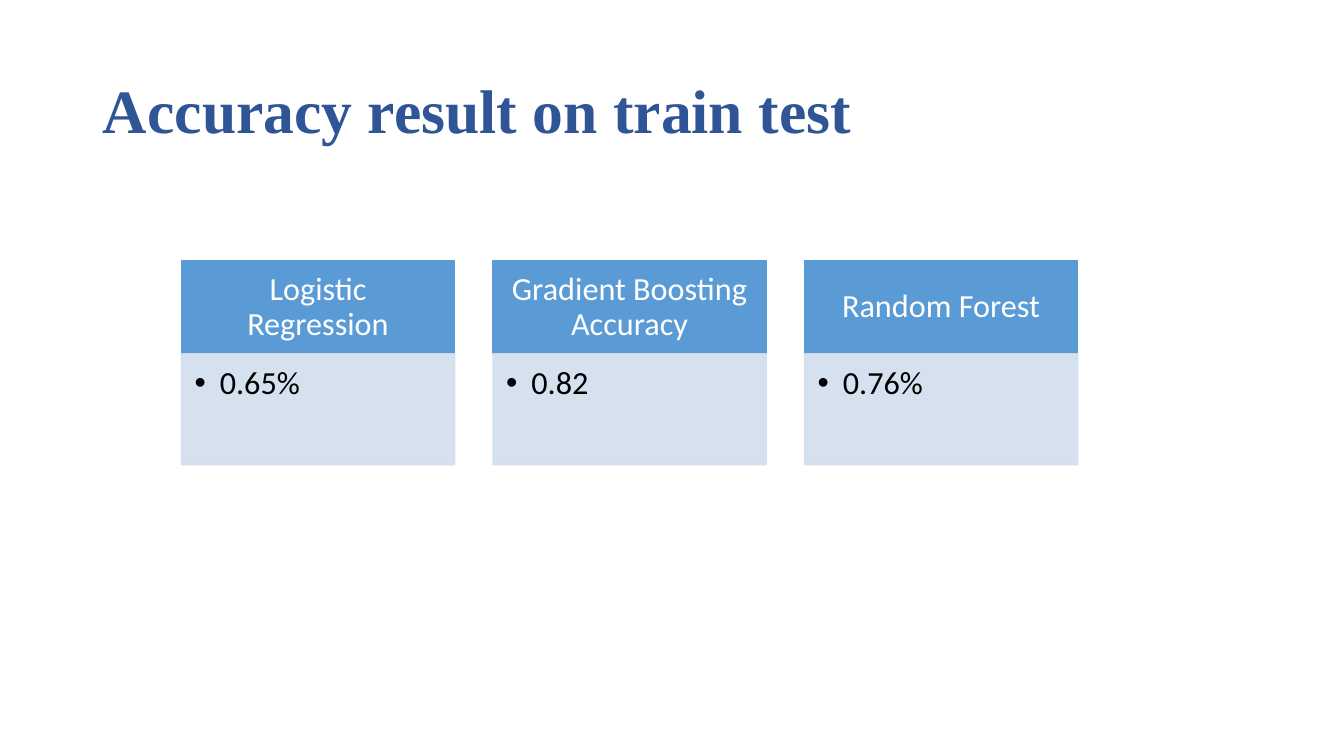
"""Build a slide comparing the accuracy of three classification models."""
from lxml import etree
from pptx import Presentation
from pptx.dml.color import RGBColor
from pptx.enum.shapes import MSO_SHAPE
from pptx.enum.text import MSO_ANCHOR, PP_ALIGN
from pptx.oxml.ns import qn
from pptx.util import Inches, Pt

TITLE = "Accuracy result on train test"
MODELS = [
    ("Logistic Regression", "0.65%"),
    ("Gradient Boosting Accuracy", "0.82"),
    ("Random Forest", "0.76%"),
]
COLORS = {
    "title": "2F5597",
    "header": "5B9BD5",
    "body": "D2DEEF",
    "header_text": "FFFFFF",
    "body_text": "000000",
}
RECTANGLE = MSO_SHAPE.RECTANGLE
MIDDLE, TOP = MSO_ANCHOR.MIDDLE, MSO_ANCHOR.TOP
LEFT, CENTER = PP_ALIGN.LEFT, PP_ALIGN.CENTER

CARD_LEFT, CARD_TOP, CARD_WIDTH, CARD_STEP = 1.8, 2.59, 2.71, 3.09
HEADER_HEIGHT, BODY_HEIGHT = 0.92, 1.1
HEADER_INSETS = (0.18, 0.1, 0.18, 0.1)
BODY_INSETS = (0.13, 0.13, 0.18, 0.2)


def write(paragraph, text, font_name, size, color, alignment, bold=False):
    paragraph.alignment = alignment
    paragraph.line_spacing = 0.9
    run = paragraph.add_run()
    run.text = text
    run.font.name = font_name
    run.font.size = Pt(size)
    run.font.bold = bold
    run.font.color.rgb = RGBColor.from_string(COLORS[color])


def add_box(slide, left, top, height, text, part, insets, anchor, alignment):
    shape = slide.shapes.add_shape(
        RECTANGLE, Inches(left), Inches(top), Inches(CARD_WIDTH), Inches(height))
    shape.shadow.inherit = False
    shape.fill.solid()
    shape.line.width = Pt(1)
    for color_format in (shape.fill.fore_color, shape.line.color):
        color_format.rgb = RGBColor.from_string(COLORS[part])
    frame = shape.text_frame
    frame.word_wrap = True
    frame.vertical_anchor = anchor
    frame.margin_left, frame.margin_top, frame.margin_right, frame.margin_bottom = map(
        Inches, insets)
    write(frame.paragraphs[0], text, "Calibri", 23, part + "_text", alignment)
    return shape


def make_translucent(shape, percent):
    for color in shape.element.spPr.iter(qn("a:srgbClr")):
        etree.SubElement(color, qn("a:alpha")).set("val", str(percent * 1000))


def add_bullet(paragraph):
    properties = paragraph._p.get_or_add_pPr()
    properties.set("marL", str(Inches(0.25)))
    properties.set("indent", str(Inches(-0.25)))
    etree.SubElement(properties, qn("a:buFont")).set("typeface", "Arial")
    etree.SubElement(properties, qn("a:buChar")).set("char", "•")


def main():
    presentation = Presentation()
    presentation.slide_width = Inches(13.33)
    presentation.slide_height = Inches(7.5)
    slide = presentation.slides.add_slide(presentation.slide_layouts[5])

    title = slide.shapes.title
    title.left, title.top, title.width, title.height = map(
        Inches, (0.92, 0.4, 11.5, 1.45))
    title.text_frame.vertical_anchor = MIDDLE
    write(title.text_frame.paragraphs[0], TITLE, "Times New Roman", 44, "title",
          LEFT, bold=True)

    for index, (model, accuracy) in enumerate(MODELS):
        left = CARD_LEFT + index * CARD_STEP
        add_box(slide, left, CARD_TOP, HEADER_HEIGHT, model, "header",
                HEADER_INSETS, MIDDLE, CENTER)
        body = add_box(slide, left, CARD_TOP + HEADER_HEIGHT, BODY_HEIGHT, accuracy,
                       "body", BODY_INSETS, TOP, LEFT)
        make_translucent(body, 90)
        add_bullet(body.text_frame.paragraphs[0])

    presentation.save("out.pptx")


if __name__ == "__main__":
    main()
